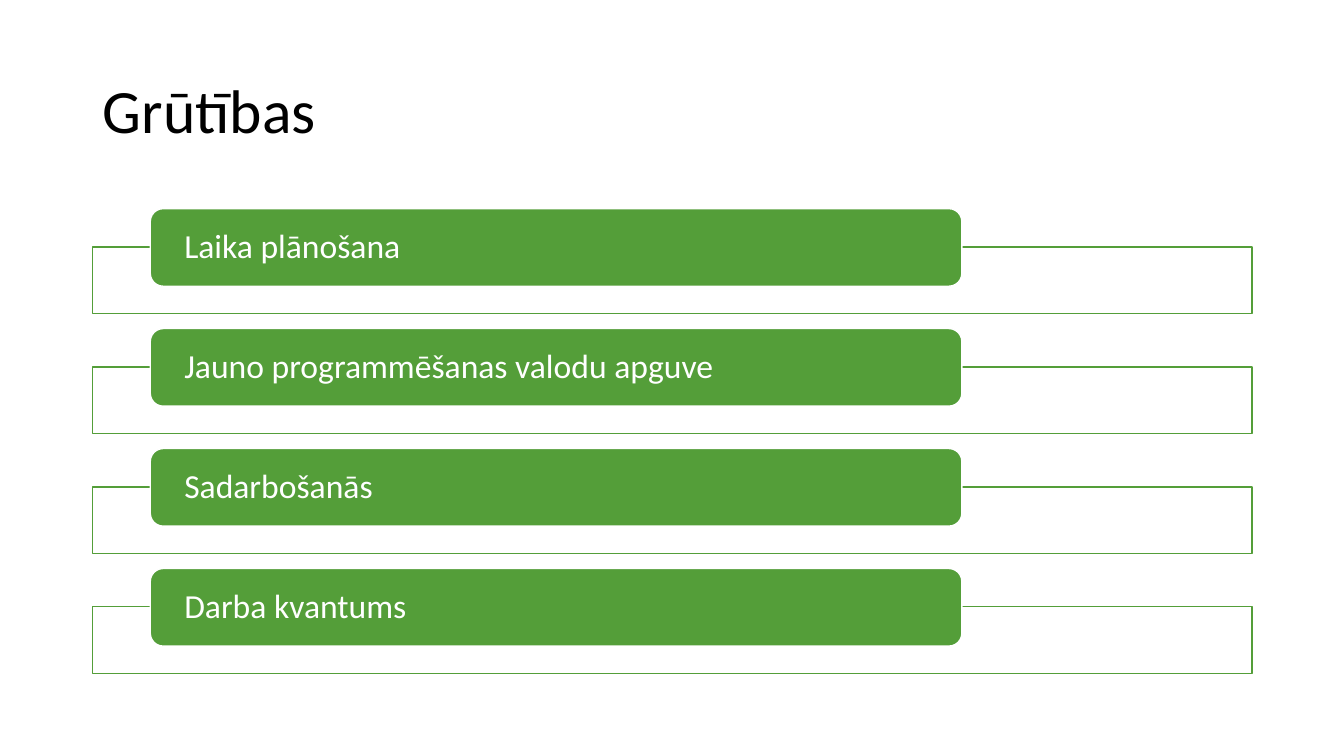
from pptx import Presentation
from pptx.dml.color import RGBColor
from pptx.enum.shapes import MSO_SHAPE
from pptx.enum.text import MSO_ANCHOR, PP_ALIGN
from pptx.oxml.ns import qn
from pptx.util import Inches, Pt
from lxml import etree

RECTANGLE = MSO_SHAPE.RECTANGLE
ROUNDED = MSO_SHAPE.ROUNDED_RECTANGLE
MIDDLE = MSO_ANCHOR.MIDDLE
LEFT = PP_ALIGN.LEFT

COLORS = {"green": "549E39", "white": "FFFFFF", "black": "000000"}
DIFFICULTIES = [
    "Laika plānošana",
    "Jauno programmēšanas valodu apguve",
    "Sadarbošanās",
    "Darba kvantums",
]
FIRST_TOP = 2.07
ROW_STEP = 1.19


def write_text(box, text, size, color, inset_x=0.1, inset_y=0.05):
    frame = box.text_frame
    frame.word_wrap = True
    frame.vertical_anchor = MIDDLE
    frame.margin_left = frame.margin_right = Inches(inset_x)
    frame.margin_top = frame.margin_bottom = Inches(inset_y)
    para = frame.paragraphs[0]
    para.alignment = LEFT
    para.line_spacing = 0.9
    span = para.add_run()
    span.text = text
    span.font.name = "Calibri"
    span.font.size = Pt(size)
    span.font.color.rgb = RGBColor.from_string(COLORS[color])


def add_box(page, kind, left, top, width, height, fill, line):
    box = page.shapes.add_shape(
        kind, Inches(left), Inches(top), Inches(width), Inches(height))
    box.shadow.inherit = False
    box.fill.solid()
    box.fill.fore_color.rgb = RGBColor.from_string(COLORS[fill])
    box.line.color.rgb = RGBColor.from_string(COLORS[line])
    box.line.width = Pt(1)
    return box


deck = Presentation()
deck.slide_width = Inches(13.33)
deck.slide_height = Inches(7.5)
page = deck.slides.add_slide(deck.slide_layouts[5])

# Title
title = page.shapes.title
title.left, title.top = Inches(0.92), Inches(0.4)
title.width, title.height = Inches(11.5), Inches(1.45)
write_text(title, "Grūtības", size=44, color="black")

# List: an outlined frame with a green label over its top edge
for index, difficulty in enumerate(DIFFICULTIES):
    top = FIRST_TOP + index * ROW_STEP
    frame_box = add_box(page, RECTANGLE, 0.92, top + 0.38, 11.5, 0.66,
                        fill="white", line="green")
    fill_color = frame_box.fill._xPr.find(qn("a:solidFill"))[0]
    etree.SubElement(fill_color, qn("a:alpha"), val="90000")

    label = add_box(page, ROUNDED, 1.49, top, 8.05, 0.77,
                    fill="green", line="white")
    write_text(label, difficulty, size=24, color="white",
               inset_x=0.3, inset_y=0)

deck.save("out.pptx")
